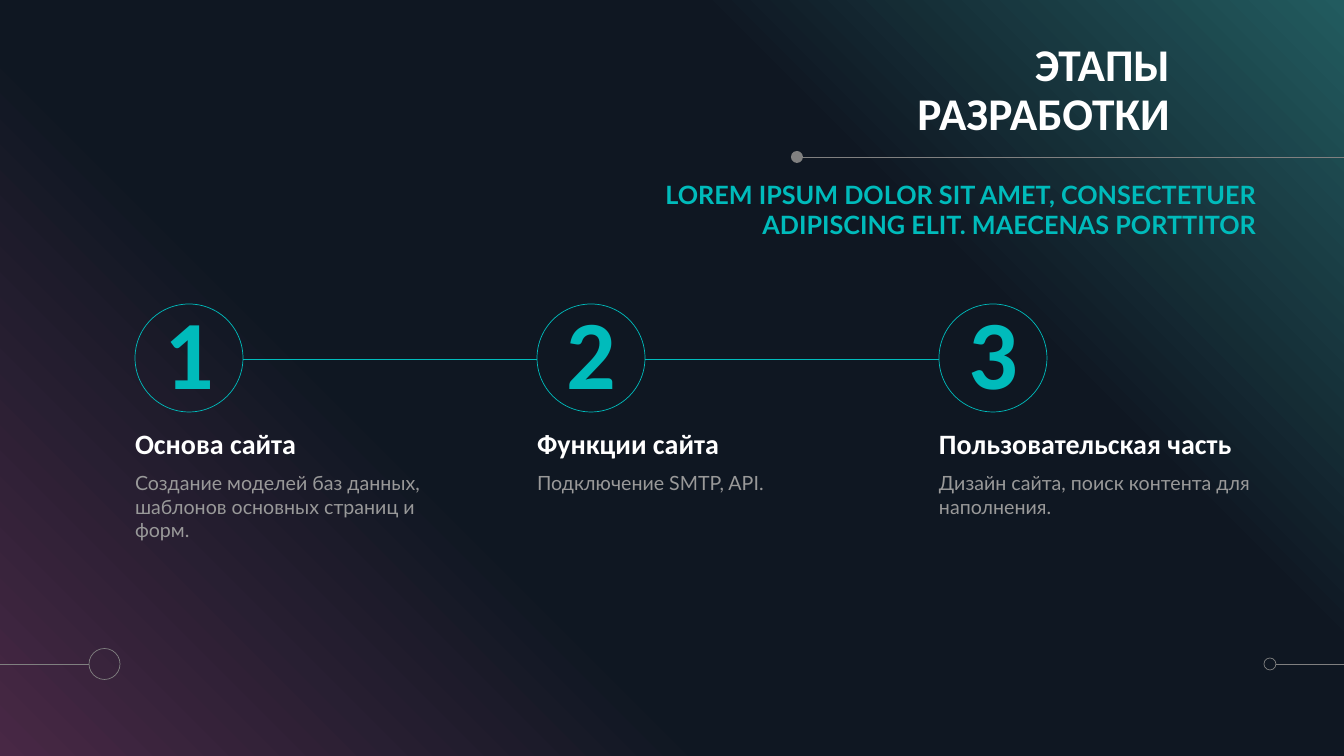
from dataclasses import dataclass

from lxml import etree
from pptx import Presentation
from pptx import util as u
from pptx.dml.color import RGBColor
from pptx.enum import shapes, text
from pptx.oxml.ns import qn

PX = u.Inches(1) / 100.8  # one px in EMU
W, H = 1344, 756
LEFT, CENTER, RIGHT = text.PP_ALIGN.LEFT, text.PP_ALIGN.CENTER, text.PP_ALIGN.RIGHT
TOP, MIDDLE, BOTTOM = text.MSO_ANCHOR.TOP, text.MSO_ANCHOR.MIDDLE, text.MSO_ANCHOR.BOTTOM


@dataclass(frozen=True)
class Theme:
    white: str = "FFFFFF"
    accent: str = "00BBBB"
    muted: str = "999999"
    line: str = "808080"
    gradient: tuple = ((0, "482845"), (34, "0F1722"), (69, "0F1722"), (100, "225B5F"))
    head_font: str = "Calibri"
    body_font: str = "Lato"
    title: float = 32.4
    subtitle: int = 18
    number: int = 70
    heading: int = 20
    body: int = 14
    stroke: float = 0.5


T = Theme()

STEPS = (
    ("Основа сайта", "Создание моделей баз данных, шаблонов основных страниц и форм."),
    ("Функции сайта", "Подключение SMTP, API."),
    ("Пользовательская часть", "Дизайн сайта, поиск контента для наполнения."),
)


def emu(*lengths):
    return [u.Emu(round(n * PX)) for n in lengths]


def rgb(value):
    return RGBColor.from_string(value)


def write(shape, words, size, color, font, bold=False, align=LEFT, anchor=TOP, spacing=1.0):
    tf = shape.text_frame
    tf.word_wrap = True
    tf.auto_size = text.MSO_AUTO_SIZE.NONE
    tf.vertical_anchor = anchor
    tf.margin_left = tf.margin_right = tf.margin_top = tf.margin_bottom = 0
    p = tf.paragraphs[0]
    p.alignment, p.line_spacing, p.space_before = align, spacing, u.Pt(0)
    r = p.add_run()
    r.text = words
    r.font.size, r.font.bold, r.font.name = u.Pt(size), bold, font
    r.font.color.rgb = rgb(color)


def add_text(slide, box, *args, **kwargs):
    write(slide.shapes.add_textbox(*emu(*box)), *args, **kwargs)


def add_line(slide, x1, y1, x2, y2, color=T.line):
    line = slide.shapes.add_connector(shapes.MSO_CONNECTOR.STRAIGHT, *emu(x1, y1, x2, y2))
    line.line.color.rgb = rgb(color)
    line.line.width = u.Pt(T.stroke)
    etree.SubElement(line._element.spPr, qn("a:effectLst"))


def add_circle(slide, x, y, size, color=T.line, filled=False):
    sp = slide.shapes.add_shape(shapes.MSO_SHAPE.OVAL, *emu(x, y, size, size))
    sp.shadow.inherit = False
    if filled:
        sp.fill.solid()
        sp.fill.fore_color.rgb = rgb(color)
        sp.line.fill.background()
    else:
        sp.fill.background()
        sp.line.color.rgb = rgb(color)
        sp.line.width = u.Pt(T.stroke)
    return sp


def backdrop(slide, x, y, w, h):
    sp = slide.shapes.add_shape(shapes.MSO_SHAPE.RECTANGLE, *emu(x, y, w, h))
    sp.shadow.inherit = False
    sp.line.fill.background()
    sp.fill.gradient()
    sp.fill.gradient_angle = 45
    stops = sp._element.spPr.find(qn("a:gradFill")).find(qn("a:gsLst"))
    for stop in list(stops):
        stops.remove(stop)
    for position, color in T.gradient:
        stop = etree.SubElement(stops, qn("a:gs"), pos=str(position * 1000))
        etree.SubElement(stop, qn("a:srgbClr"), val=color)


def header(slide, x, y, w):
    # Title, rule with a dot, subtitle
    title = slide.shapes.title
    title.left, title.top, title.width, title.height = emu(x + 218, y, 390, 62)
    write(title, "ЭТАПЫ РАЗРАБОТКИ", T.title, T.white, T.head_font, True, RIGHT, BOTTOM, 0.9)
    add_line(slide, x + 238, y + 79, W, y + 79)
    add_circle(slide, x + 229, y + 73, 12, filled=True)
    add_text(slide, (x, y + 101, w, 62),
             "LOREM IPSUM DOLOR SIT AMET, CONSECTETUER ADIPISCING ELIT. MAECENAS PORTTITOR",
             T.subtitle, T.accent, T.body_font, True, RIGHT)


def footer(slide, y):
    # Lines from both edges, each ending in a ring
    for edge, end, ring_x, size in ((0, 89, 89, 31), (W, 1276, 1264, 12)):
        add_line(slide, edge, y, end, y)
        add_circle(slide, ring_x, y - size / 2, size)


def timeline(slide, x, y, step=402, ring=108, w=325):
    for i, (heading, body) in enumerate(STEPS):
        left = x + i * step
        if i:
            add_line(slide, left - step + ring, y + 55, left, y + 55, T.accent)
        write(add_circle(slide, left, y, ring, T.accent), str(i + 1),
              T.number, T.accent, T.head_font, True, CENTER, MIDDLE, 0.9)
        add_text(slide, (left, y + 121, w, 36), heading,
                 T.heading, T.white, T.head_font, True, anchor=BOTTOM, spacing=0.9)
        add_text(slide, (left, y + 167, w, 156), body, T.body, T.muted, T.body_font)


def main():
    prs = Presentation()
    prs.slide_width, prs.slide_height = emu(W, H)
    slide = prs.slides.add_slide(prs.slide_layouts[5])
    slide.background.fill.solid()
    slide.background.fill.fore_color.rgb = rgb("000000")
    backdrop(slide, 0, 0, W, H)
    # Bring the title in front of the backdrop
    slide.shapes._spTree.append(slide.shapes.title._element)
    header(slide, 562, 78, 694)
    footer(slide, 664)
    timeline(slide, 135, 304)
    prs.save("out.pptx")


if __name__ == "__main__":
    main()
